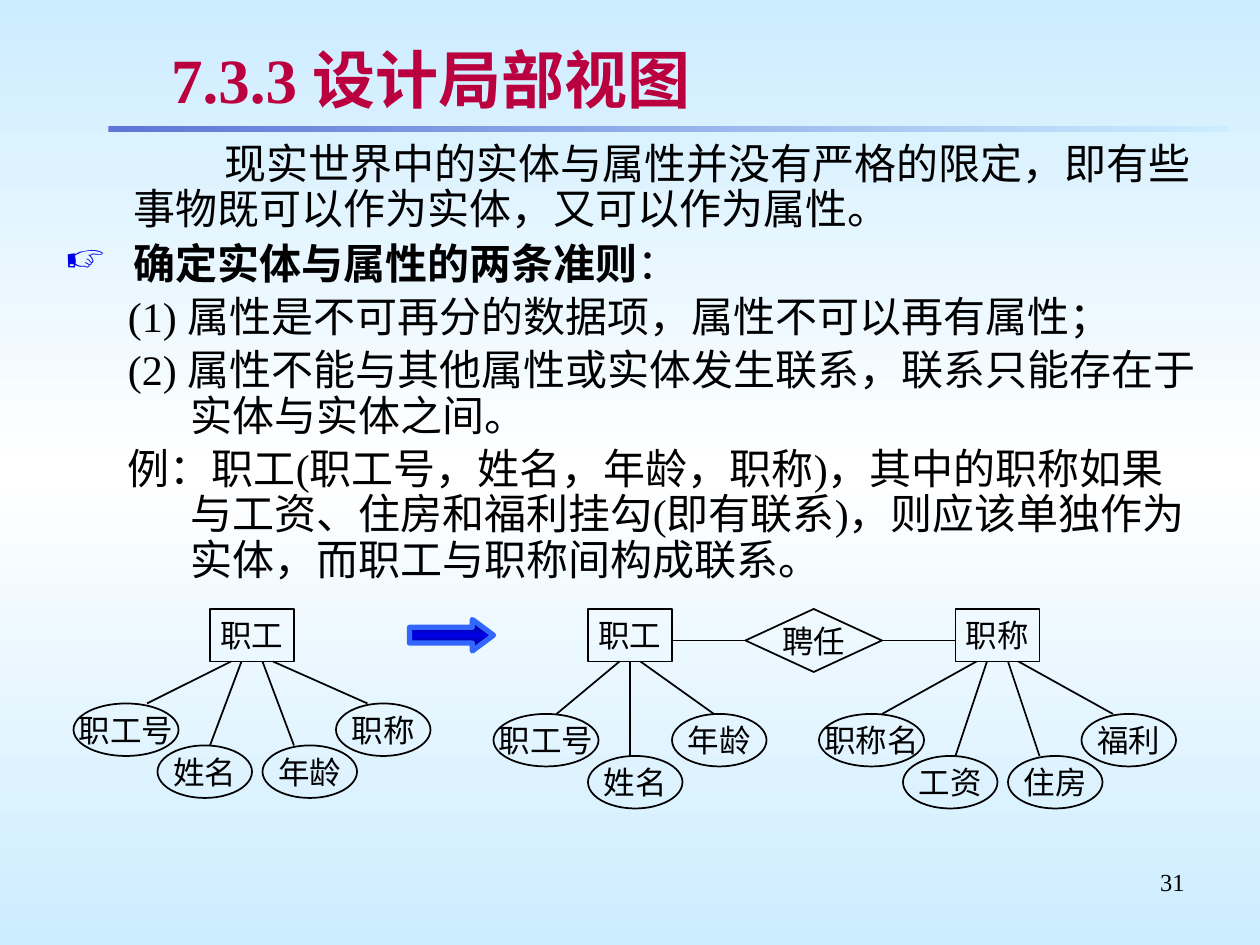
from lxml.etree import SubElement
from pptx import Presentation
from pptx.dml.color import RGBColor
from pptx.enum.shapes import MSO_CONNECTOR, MSO_SHAPE as SHAPE
from pptx.enum.text import MSO_ANCHOR as ANCHOR, PP_ALIGN as ALIGN
from pptx.oxml.ns import qn
from pptx.util import Pt

U = 6  # diagram grid, in points


def rgb(value):
    return RGBColor.from_string(value)


def add_run(p, text, size=24, font="Times New Roman", color="000000", bold=False):
    r = p.add_run()
    r.text = text
    r.font.size, r.font.name, r.font.bold = Pt(size), font, bold
    r.font.color.rgb = rgb(color)
    return r


def set_gradient(fill, element, angle, *colors):
    """Spread the colours evenly along the gradient."""
    fill.gradient()
    fill.gradient_angle = angle
    stops = element.xpath(".//a:gsLst")[0]
    for old in list(stops):
        stops.remove(old)
    for i, color in enumerate(colors):
        gs = SubElement(stops, qn("a:gs"), pos=str(100000 * i // (len(colors) - 1)))
        SubElement(gs, qn("a:srgbClr"), val=color)


class Deck:
    ink = "000000"
    label_font, label_size = "Arial", 18

    def __init__(self, prs):
        self.s = prs.slides.add_slide(prs.slide_layouts[6])

    def textbox(self, x, y, w, h, anchor=ANCHOR.TOP):
        tf = self.s.shapes.add_textbox(Pt(x), Pt(y), Pt(w), Pt(h)).text_frame
        tf.word_wrap = True
        tf.vertical_anchor = anchor
        return tf

    def paragraph(self, tf, *runs, left=72, indent=-36, before=4.5, bullet=None):
        p = tf.paragraphs[0] if not tf.paragraphs[0].runs else tf.add_paragraph()
        p.line_spacing, p.space_before = 0.9, Pt(before)
        pPr = p._p.get_or_add_pPr()
        pPr.set("marL", str(Pt(left)))
        pPr.set("indent", str(Pt(indent)))
        if bullet:
            SubElement(SubElement(pPr, qn("a:buClr")), qn("a:srgbClr"), val="0000E8")
            SubElement(pPr, qn("a:buSzPct"), val="95000")
            SubElement(pPr, qn("a:buChar"), char=bullet)
        else:
            SubElement(pPr, qn("a:buNone"))
        for text, bold in runs:
            add_run(p, text, bold=bold)

    def shape(self, kind, x, y, w, h):
        sp = self.s.shapes.add_shape(kind, Pt(x), Pt(y), Pt(w), Pt(h))
        sp.shadow.inherit = False
        return sp

    def node(self, kind, text, x, y, w, h=5):
        """Outlined, labelled shape placed in grid units."""
        sp = self.shape(kind, x * U, y * U, w * U, h * U)
        sp.fill.background()
        sp.line.color.rgb, sp.line.width = rgb(self.ink), Pt(1)
        tf = sp.text_frame
        tf.word_wrap, tf.vertical_anchor = False, ANCHOR.MIDDLE
        p = tf.paragraphs[0]
        p.alignment = ALIGN.CENTER
        add_run(p, text, self.label_size, self.label_font, self.ink)

    def line(self, x1, y1, x2, y2):
        ln = self.s.shapes.add_connector(
            MSO_CONNECTOR.STRAIGHT, *(Pt(v * U) for v in (x1, y1, x2, y2)))
        ln.line.color.rgb, ln.line.width = rgb(self.ink), Pt(1)
        SubElement(ln._element.spPr, qn("a:effectLst"))

    def entity(self, name, x, row, attributes):
        """Box with attribute ellipses; the inner ones hang 4 units lower."""
        top, height = 58, 5
        self.node(SHAPE.RECTANGLE, name, x, top, 8, height)
        for text, left, drop, start, end in attributes:
            y = row + drop
            self.node(SHAPE.OVAL, text, left, y, 10 if len(text) == 3 else 9)
            self.line(start, top + height, end, y)


def main():
    prs = Presentation()
    prs.slide_width, prs.slide_height = Pt(720), Pt(540)
    d = Deck(prs)

    # Background and title rule
    set_gradient(d.s.background.fill, d.s._element, 270, "CCECFF", "FFFFFF", "CCECFF")
    rule = d.shape(SHAPE.RECTANGLE, 62, 72, 640, 3.6)
    set_gradient(rule.fill, rule._element, 0, "5F76D7", "CCECFF")
    rule.line.fill.background()

    # Title with text shadow
    tf = d.textbox(90.7, 20.9, 593.3, 48.2, ANCHOR.MIDDLE)
    r = add_run(tf.paragraphs[0], "7.3.3 设计局部视图", 36, color="BA003E", bold=True)
    effects = r._r.rPr.makeelement(qn("a:effectLst"))
    shadow = SubElement(effects, qn("a:outerShdw"), dist="35921", dir="2700000")
    SubElement(shadow, qn("a:srgbClr"), val="C0C0C0")
    r._r.rPr.find(qn("a:solidFill")).addnext(effects)

    # Body text
    tf = d.textbox(30, 78, 666, 270)
    d.paragraph(tf, ("现实世界中的实体与属性并没有严格的限定，即有些"
                     "事物既可以作为实体，又可以作为属性。", False),
                left=39, indent=52, before=8.5)
    d.paragraph(tf, ("确定实体与属性的两条准则", True), ("：", False),
                left=39, indent=-39, before=5.5, bullet="☞")
    for text in (
        "(1) 属性是不可再分的数据项，属性不可以再有属性；",
        "(2) 属性不能与其他属性或实体发生联系，联系只能存在于实体与实体之间。",
        "例：职工(职工号，姓名，年龄，职称)，其中的职称如果与工资、住房和福利挂勾"
        "(即有联系)，则应该单独作为实体，而职工与职称间构成联系。",
    ):
        d.paragraph(tf, (text, False))

    # Entities: attribute, left, drop, line start, line end
    d.entity("职工", 20, 67, [("职工号", 7, 0, 22, 14), ("姓名", 15, 4, 23, 20),
                            ("年龄", 25, 4, 25, 28), ("职称", 32, 0, 26, 35)])
    d.entity("职工", 56, 68, [("职工号", 47, 0, 59, 53), ("姓名", 56, 4, 60, 60),
                            ("年龄", 64, 0, 61, 68)])
    d.entity("职称", 91, 68, [("职称名", 78, 0, 93, 84), ("工资", 86, 4, 94, 91),
                            ("住房", 96, 4, 96, 99), ("福利", 103, 0, 97, 106)])

    # Relationship between the two entities
    d.node(SHAPE.FLOWCHART_DECISION, "聘任", 71, 58, 13, 6)
    for x in (64, 84):
        d.line(x, 61, x + 7, 61)

    # Transformation arrow
    arrow = d.shape(SHAPE.RIGHT_ARROW, 234, 354, 48, 18)
    arrow.adjustments[1] = 0.67
    set_gradient(arrow.fill, arrow._element, 270, "00006B", "0000E8", "00006B")
    arrow.line.color.rgb, arrow.line.width = rgb("3366FF"), Pt(3)

    # Slide number
    p = d.textbox(516, 492, 168, 37.5).paragraphs[0]
    p.alignment = ALIGN.RIGHT
    add_run(p, "31", 14)

    prs.save("out.pptx")


if __name__ == "__main__":
    main()
